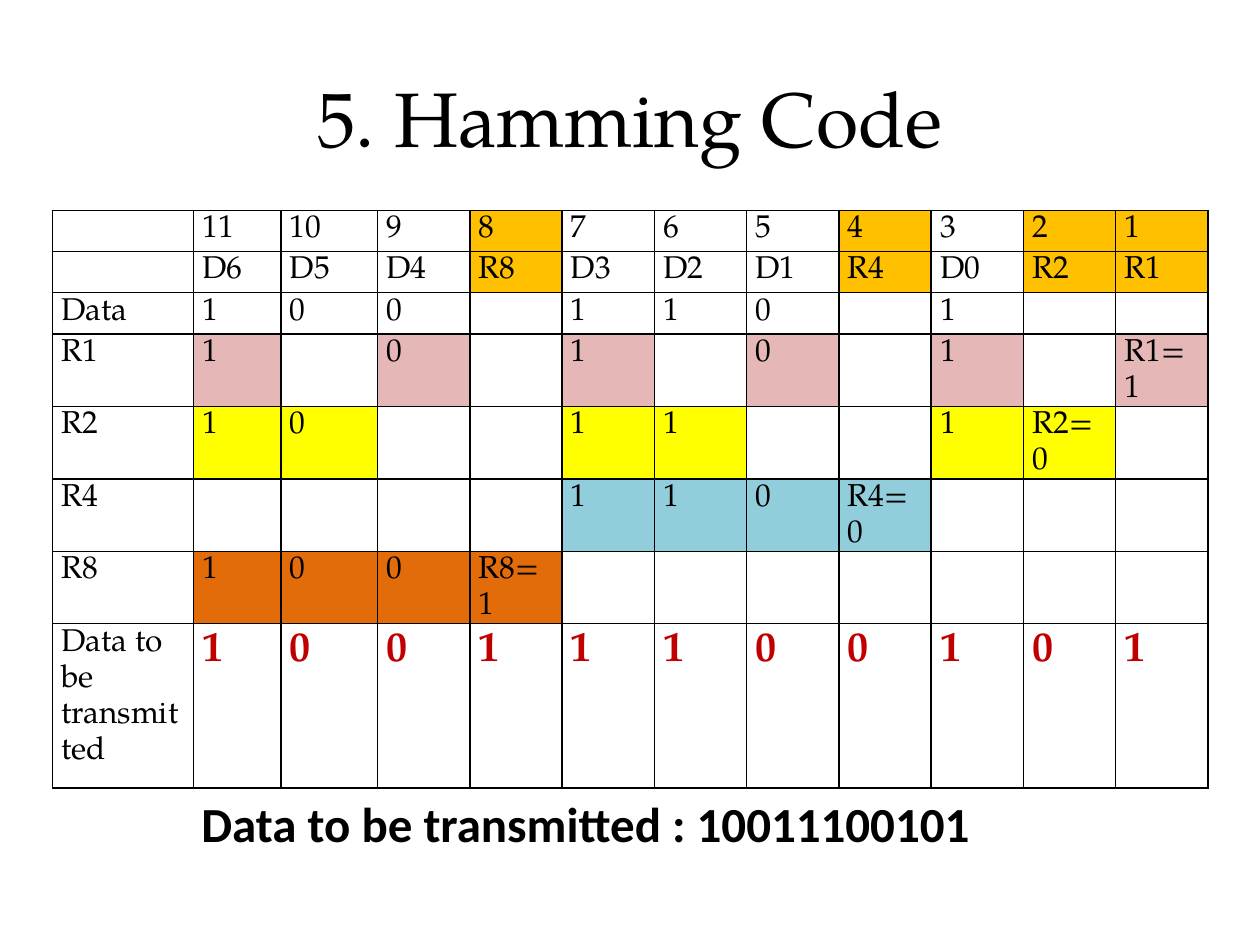
from lxml.etree import SubElement
from pptx import Presentation
from pptx.dml.color import RGBColor
from pptx.enum.text import MSO_ANCHOR as Anchor, MSO_AUTO_SIZE as AutoSize, PP_ALIGN as Align
from pptx.oxml.ns import qn
from pptx.util import Cm, Pt

SERIF = "TeX Gyre Pagella"
BLACK, RED, WHITE = "000000", "C00000", "FFFFFF"
AMBER = "FFC000"

HEADING = "5. Hamming Code"
RESULT = "Data to be transmitted : 10011100101"
PARITY_POSITIONS = {"8", "4", "2", "1"}
ROWS = [
    ["", "11", "10", "9", "8", "7", "6", "5", "4", "3", "2", "1"],
    ["", "D6", "D5", "D4", "R8", "D3", "D2", "D1", "R4", "D0", "R2", "R1"],
    ["Data", "1", "0", "0", "", "1", "1", "0", "", "1", "", ""],
    ["R1", "1", "", "0", "", "1", "", "0", "", "1", "", "R1=1"],
    ["R2", "1", "0", "", "", "1", "1", "", "", "1", "R2=0", ""],
    ["R4", "", "", "", "", "1", "1", "0", "R4=0", "", "", ""],
    ["R8", "1", "0", "0", "R8=1", "", "", "", "", "", "", ""],
    ["Data to be transmitted", "1", "0", "0", "1", "1", "1", "0", "0", "1", "0", "1"],
]
CHECK_COLORS = {3: "E5B8B7", 4: "FFFF00", 5: "92CDDC", 6: "E36C0A", 7: WHITE}
COLUMN_WIDTHS = [2.84, 1.76, 1.95] + [1.86] * 9
ROW_HEIGHTS = [0.83] * 7 + [3.31]
LINE_PITCH = 1.15


def rgb(color):
    return RGBColor.from_string(color)


def add_run(paragraph, text, size, font=SERIF, color=BLACK, bold=False):
    run = paragraph.add_run()
    run.text = text
    run.font.size = Pt(size)
    run.font.name = font
    run.font.bold = bold
    run.font.color.rgb = rgb(color)


def cell_color(row, column):
    if column == 0:
        return None
    if row < 2:
        return AMBER if ROWS[0][column] in PARITY_POSITIONS else None
    return CHECK_COLORS.get(row) if ROWS[row][column] else None


def add_borders(cell):
    properties = cell._tc.get_or_add_tcPr()
    for position, side in enumerate(("a:lnL", "a:lnR", "a:lnT", "a:lnB")):
        line = SubElement(properties, qn(side), w=str(Pt(1)))
        fill = SubElement(line, qn("a:solidFill"))
        SubElement(fill, qn("a:srgbClr"), val=BLACK)
        properties.insert(position, line)


def fill_cell(cell, row, column):
    cell.margin_left = cell.margin_right = Cm(0.18)
    cell.margin_top = cell.margin_bottom = 0
    color = cell_color(row, column)
    if color:
        cell.fill.solid()
        cell.fill.fore_color.rgb = rgb(color)
    else:
        cell.fill.background()
    add_borders(cell)
    paragraph = cell.text_frame.paragraphs[0]
    transmitted = row == len(ROWS) - 1 and column > 0
    size = 24 if transmitted else 18
    paragraph.line_spacing = Pt(size * LINE_PITCH)
    text = ROWS[row][column]
    if text:
        add_run(paragraph, text, size, color=RED if transmitted else BLACK, bold=transmitted)
    else:
        SubElement(paragraph._p, qn("a:endParaRPr"), sz=str(size * 100))


def main():
    deck = Presentation()
    deck.slide_width, deck.slide_height = Cm(25.4), Cm(19.05)
    slide = deck.slides.add_slide(deck.slide_layouts[6])

    heading = slide.shapes.add_textbox(Cm(1.27), Cm(0.76), Cm(22.86), Cm(3.18)).text_frame
    heading.word_wrap = True
    heading.vertical_anchor = Anchor.MIDDLE
    heading.paragraphs[0].alignment = Align.CENTER
    add_run(heading.paragraphs[0], HEADING, 44)

    code_table = slide.shapes.add_table(
        len(ROWS), len(COLUMN_WIDTHS), Cm(1.06), Cm(4.24),
        Cm(sum(COLUMN_WIDTHS)), Cm(sum(ROW_HEIGHTS))).table
    code_table.first_row = code_table.horz_banding = False
    for column, width in zip(code_table.columns, COLUMN_WIDTHS):
        column.width = Cm(width)
    for row, height in zip(code_table.rows, ROW_HEIGHTS):
        row.height = Cm(height)
    for row in range(len(ROWS)):
        for column in range(len(COLUMN_WIDTHS)):
            fill_cell(code_table.cell(row, column), row, column)

    result = slide.shapes.add_textbox(Cm(3.81), Cm(15.88), Cm(16.23), Cm(1.45)).text_frame
    result.word_wrap = False
    result.auto_size = AutoSize.SHAPE_TO_FIT_TEXT
    add_run(result.paragraphs[0], RESULT, 28, font="Calibri", bold=True)

    deck.save("out.pptx")


if __name__ == "__main__":
    main()
